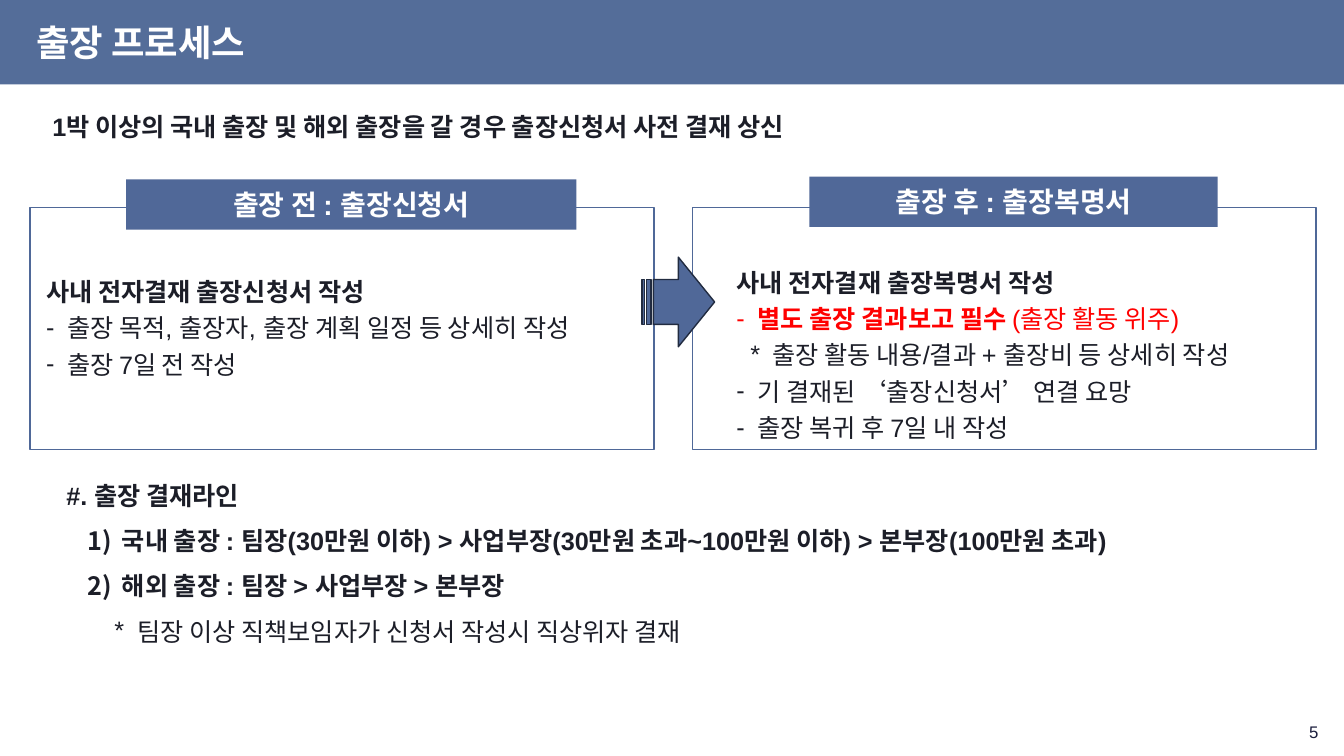
from dataclasses import dataclass
from typing import NamedTuple

from lxml.etree import SubElement
from pptx import Presentation
from pptx.dml.color import RGBColor
from pptx.enum.shapes import MSO_SHAPE as Preset
from pptx.enum.text import MSO_ANCHOR as Anchor, MSO_AUTO_SIZE as AutoSize, PP_ALIGN as Align
from pptx.oxml.ns import qn
from pptx.util import Cm, Pt

COLORS = {
    "band": "546D99", "box": "506898", "frame": "4F6898", "arrow_edge": "212B40",
    "text": "1C1E28", "number": "1B1E3D", "alert": "FF0000", "white": "FFFFFF",
}


class Area(NamedTuple):
    left: float
    top: float
    width: float
    height: float


class Marker(NamedTuple):
    """A bullet element with its text indent and hanging width in cm."""
    tag: str
    attributes: dict[str, str]
    indent: float = 0
    hang: float = 0


class Run(NamedTuple):
    text: str
    bold: bool = False
    color: str = "text"
    size: float = 18


@dataclass
class Line:
    runs: list[Run]
    marker: Marker = Marker("a:buNone", {})
    spacing: float = 1.2
    align: Align = Align.LEFT


@dataclass
class Stage:
    heading: str
    heading_area: Area
    frame_left: float
    list_id: int
    list_area: Area
    lines: list[Line]


DASH = Marker("a:buChar", {"char": "-"}, 0.53, 0.53)
NUMBER = Marker("a:buAutoNum", {"type": "arabicParenR"}, 1.4, 0.87)
STAR = Marker("a:buChar", {"char": "*"}, 0.91, 0.56)
DEEP_STAR = STAR._replace(indent=1.79, hang=0.58)

LEAD = [Line([Run("1박 이상의 국내 출장 및 해외 출장을 갈 경우 출장신청서 사전 결재 상신", True)])]

STAGES = [
    Stage("출장 전 : 출장신청서", Area(3.18, 4.52, 11.35, 1.27), 0.76,
          2, Area(0.91, 6.68, 15.47, 3.02), [
              Line([Run("사내 전자결재 출장신청서 작성", True)]),
              Line([Run("출장 목적, 출장자, 출장 계획 일정 등 상세히 작성")], DASH),
              Line([Run("출장 7일 전 작성")], DASH),
          ]),
    Stage("출장 후 : 출장복명서", Area(20.4, 4.45, 10.29, 1.27), 17.45,
          4, Area(18.31, 6.45, 15.47, 4.88), [
              Line([Run("사내 전자결재 출장복명서 작성", True)]),
              Line([Run("별도 출장 결과보고 필수 ", True, "alert"),
                    Run("(출장 활동 위주)", color="alert")], DASH),
              Line([Run("출장 활동 내용/결과 + 출장비 등 상세히 작성")], STAR),
              Line([Run("기 결재된 ‘출장신청서’ 연결 요망")], DASH),
              Line([Run("출장 복귀 후 7일 내 작성")], DASH),
          ]),
]

APPROVAL = [
    Line([Run("#. 출장 결재라인", True)], spacing=1.5),
    Line([Run("국내 출장 : 팀장(30만원 이하) > 사업부장(30만원 초과~100만원 이하) > "
              "본부장(100만원 초과)", True)], NUMBER, 1.5),
    Line([Run("해외 출장 : 팀장 > 사업부장 > 본부장", True)], NUMBER, 1.5),
    Line([Run("팀장 이상 직책보임자가 신청서 작성시 직상위자 결재")], DEEP_STAR, 1.5),
]


def rgb(name: str) -> RGBColor:
    return RGBColor.from_string(COLORS[name])


def assign(target, values: dict) -> None:
    for name, value in values.items():
        setattr(target, name, value)


def place(shape, area: Area) -> None:
    assign(shape, {side: Cm(length) for side, length in area._asdict().items()})


def set_marker(paragraph, marker: Marker) -> None:
    properties = paragraph._p.get_or_add_pPr()
    properties.set("marL", str(Cm(marker.indent)))
    properties.set("indent", str(-Cm(marker.hang)))
    if marker.tag != "a:buNone":
        SubElement(properties, qn("a:buFont"), typeface="Arial")
    SubElement(properties, qn(marker.tag), marker.attributes)


def write(shape, lines: list[Line], anchor: Anchor = Anchor.TOP) -> None:
    frame = shape.text_frame
    assign(frame, {
        "word_wrap": True, "auto_size": AutoSize.NONE, "vertical_anchor": anchor,
        "margin_left": Cm(0.25), "margin_right": Cm(0.25),
        "margin_top": Cm(0.13), "margin_bottom": Cm(0.13),
    })
    for index, line in enumerate(lines):
        paragraph = frame.add_paragraph() if index else frame.paragraphs[0]
        set_marker(paragraph, line.marker)
        assign(paragraph, {"alignment": line.align, "line_spacing": line.spacing,
                           "space_before": Pt(0), "space_after": Pt(0)})
        for part in line.runs:
            run = paragraph.add_run()
            run.text = part.text
            assign(run.font, {"name": "Arial", "size": Pt(part.size), "bold": part.bold})
            run.font.color.rgb = rgb(part.color)


def add_block(slide, preset: Preset, area: Area, fill: str = "", edge: str = ""):
    """Add a preset shape; an empty colour name leaves that part undrawn."""
    block = slide.shapes.add_shape(preset, *map(Cm, area))
    block.shadow.inherit = False
    if fill:
        block.fill.solid()
        block.fill.fore_color.rgb = rgb(fill)
    else:
        block.fill.background()
    if edge:
        block.line.color.rgb = rgb(edge)
        block.line.width = Pt(1)
    else:
        block.line.fill.background()
    return block


def fill_body(slide, body_id: int, area: Area, lines: list[Line]) -> None:
    body = slide.placeholders[body_id]
    place(body, area)
    write(body, lines)


def add_stage(slide, stage: Stage) -> None:
    add_block(slide, Preset.RECTANGLE, Area(stage.frame_left, 5.23, 15.72, 6.1), edge="frame")
    heading = add_block(slide, Preset.RECTANGLE, stage.heading_area, "box")
    write(heading, [Line([Run(stage.heading, True, "white", 20)], spacing=1.0,
                         align=Align.CENTER)], Anchor.MIDDLE)
    fill_body(slide, stage.list_id, stage.list_area, stage.lines)


def main() -> None:
    deck = Presentation()
    assign(deck, {"slide_width": Cm(33.87), "slide_height": Cm(19.05)})
    slide = deck.slides.add_slide(deck.slide_layouts.get_by_name("Comparison"))

    band = add_block(slide, Preset.RECTANGLE, Area(0, 0, 33.87, 2.13), "band")
    title = slide.shapes.title
    title._element.addprevious(band._element)
    place(title, Area(0.66, 0.25, 32.56, 1.75))
    write(title, [Line([Run("출장 프로세스", True, "white", 26)], spacing=0.9)], Anchor.MIDDLE)

    fill_body(slide, 1, Area(1.07, 2.51, 32.03, 1.17), LEAD)
    for stage in STAGES:
        add_stage(slide, stage)
    add_block(slide, Preset.STRIPED_RIGHT_ARROW, Area(16.18, 6.48, 1.83, 2.26),
              "box", "arrow_edge")
    fill_body(slide, 3, Area(1.42, 11.58, 31.01, 4.88), APPROVAL)

    page_number = slide.shapes.add_textbox(*map(Cm, Area(25.86, 18.01, 7.62, 0.84)))
    write(page_number, [Line([Run("5", False, "number", 12)], spacing=1.0,
                             align=Align.RIGHT)], Anchor.MIDDLE)
    deck.save("out.pptx")


if __name__ == "__main__":
    main()
